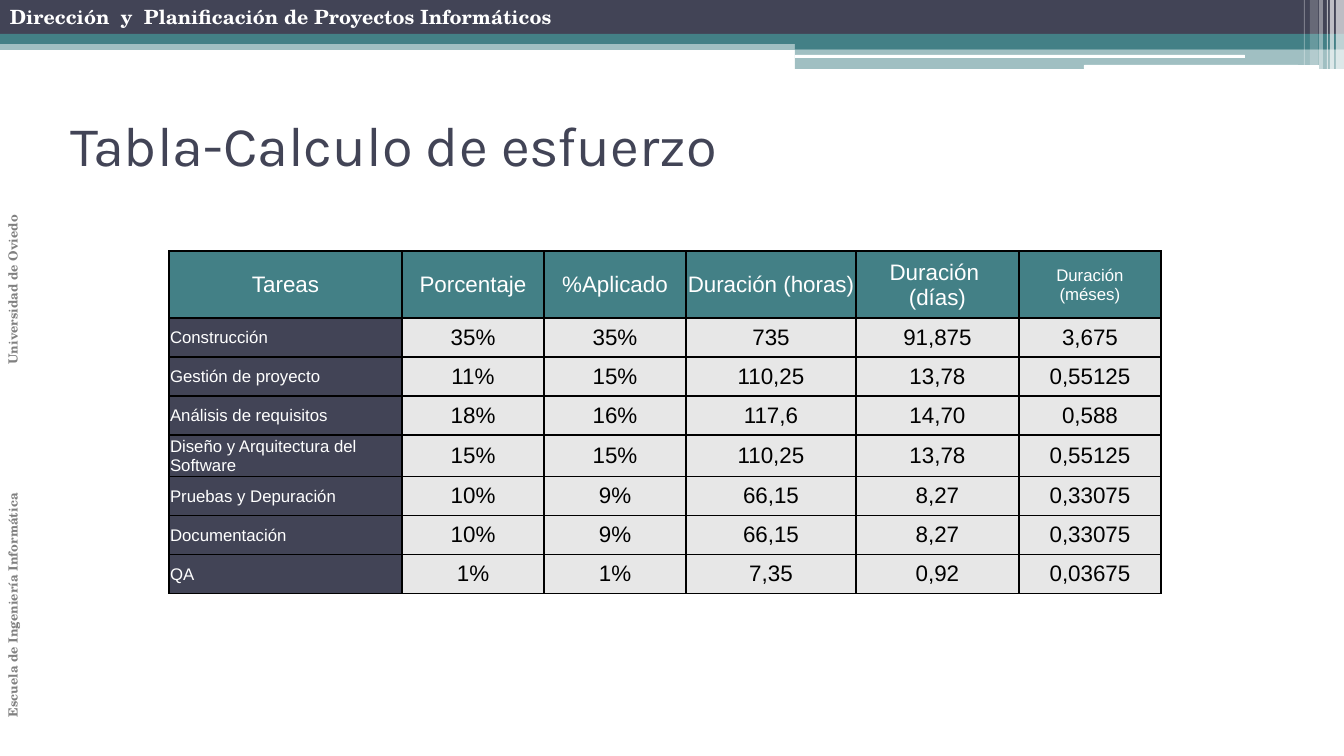
from dataclasses import dataclass

from lxml.etree import SubElement
from pptx import Presentation
from pptx.dml.color import RGBColor
from pptx.enum.shapes import MSO_SHAPE as SHAPE
from pptx.enum.text import MSO_ANCHOR as ANCHOR, MSO_AUTO_SIZE as AUTO, PP_ALIGN as ALIGN
from pptx.oxml.ns import qn
from pptx.util import Emu, Pt

PX = 914400 / 100.8


def px(n):
    return Emu(round(n * PX))


@dataclass(frozen=True)
class Theme:
    navy: str = "424456"
    teal: str = "438086"
    white: str = "FFFFFF"
    black: str = "000000"
    grey: str = "808080"
    pale: str = "E7E7E7"
    title_font: str = "Karla"
    frame_font: str = "TeX Gyre Schola"
    table_font: str = "Arial"
    title_size: int = 40
    course_size: int = 14
    school_size: int = 9
    cell_size: int = 16
    small_size: int = 12


def write(tf, text, *, font, size, color, bold=False, align=ALIGN.LEFT):
    """Fill a text frame, one paragraph per line of text."""
    for i, line in enumerate(text.split("\n")):
        p = tf.paragraphs[0] if i == 0 else tf.add_paragraph()
        p.alignment = align
        r = p.add_run()
        r.text = line
        r.font.name, r.font.size, r.font.bold = font, Pt(size), bold
        r.font.color.rgb = RGBColor.from_string(color)


class SlideBuilder:
    def __init__(self, slide, theme):
        self.slide, self.theme = slide, theme

    def block(self, x, y, w, h, color, opacity=100, rounded=False):
        kind = SHAPE.ROUNDED_RECTANGLE if rounded else SHAPE.RECTANGLE
        sp = self.slide.shapes.add_shape(kind, px(x), px(y), px(w), px(h))
        sp.shadow.inherit = False
        sp.line.fill.background()
        sp.fill.solid()
        sp.fill.fore_color.rgb = RGBColor.from_string(color)
        if opacity < 100:
            clr = sp.fill._xPr.find(qn("a:solidFill"))[0]
            SubElement(clr, qn("a:alpha")).set("val", str(opacity * 1000))

    def label(self, x, y, w, h, text, vert=None, **fmt):
        tf = self.slide.shapes.add_textbox(px(x), px(y), px(w), px(h)).text_frame
        tf.word_wrap = True
        if vert:
            tf._txBody.bodyPr.set("vert", vert)
        write(tf, text, font=self.theme.frame_font, bold=True, **fmt)

    def title(self, x, y, w, h, text):
        t = self.theme
        sp = self.slide.shapes.title
        sp.left, sp.top, sp.width, sp.height = px(x), px(y), px(w), px(h)
        tf = sp.text_frame
        tf.word_wrap, tf.auto_size, tf.vertical_anchor = True, AUTO.NONE, ANCHOR.MIDDLE
        write(tf, text, font=t.title_font, size=t.title_size, color=t.navy)

    def cell(self, cell, text, fill, **fmt):
        cell.fill.solid()
        cell.fill.fore_color.rgb = RGBColor.from_string(fill)
        cell.vertical_anchor = ANCHOR.MIDDLE
        cell.margin_left = cell.margin_right = cell.margin_top = px(1)
        cell.margin_bottom = 0
        write(cell.text_frame, text, font=self.theme.table_font, **fmt)
        # Borders come before the fill in the cell properties
        tcPr = cell._tc.get_or_add_tcPr()
        for i, side in enumerate(("lnL", "lnR", "lnT", "lnB")):
            ln = SubElement(tcPr, qn(f"a:{side}"), w=str(Pt(1)))
            line_fill = SubElement(ln, qn("a:solidFill"))
            SubElement(line_fill, qn("a:srgbClr"), val=self.theme.black)
            tcPr.insert(i, ln)

    def table(self, x, y, widths, heights, rows):
        t = self.theme
        table = self.slide.shapes.add_table(
            len(rows), len(widths), px(x), px(y), px(sum(widths)), px(sum(heights))).table
        table.horz_banding = False
        for col, w in zip(table.columns, widths):
            col.width = px(w)
        for row, h in zip(table.rows, heights):
            row.height = px(h)
        last = len(widths) - 1
        for i, row in enumerate(rows):
            for j, text in enumerate(row):
                if i == 0:
                    size = t.small_size if j == last else t.cell_size
                    fmt = dict(fill=t.teal, color=t.white, size=size, align=ALIGN.CENTER)
                elif j == 0:
                    fmt = dict(fill=t.navy, color=t.white, size=t.small_size)
                else:
                    fmt = dict(fill=t.pale, color=t.black, size=t.cell_size, align=ALIGN.CENTER)
                self.cell(table.cell(i, j), text, **fmt)


EFFORT = [
    ["Tareas", "Porcentaje", "%Aplicado", "Duración (horas)", "Duración \n(días)", "Duración\n(méses)"],
    ["Construcción", "35%", "35%", "735", "91,875", "3,675"],
    ["Gestión de proyecto", "11%", "15%", "110,25", "13,78", "0,55125"],
    ["Análisis de requisitos", "18%", "16%", "117,6", "14,70", "0,588"],
    ["Diseño y Arquitectura del Software", "15%", "15%", "110,25", "13,78", "0,55125"],
    ["Pruebas y Depuración", "10%", "9%", "66,15", "8,27", "0,33075"],
    ["Documentación", "10%", "9%", "66,15", "8,27", "0,33075"],
    ["QA", "1%", "1%", "7,35", "0,92", "0,03675"],
]


def main():
    theme = Theme()
    prs = Presentation()
    prs.slide_width, prs.slide_height = px(1344), px(756)
    b = SlideBuilder(prs.slides.add_slide(prs.slide_layouts[5]), theme)

    # Header bands
    b.block(0, 40, 1344, 10, theme.teal, opacity=50)
    b.block(0, 0, 1344, 34, theme.navy)
    b.block(0, 34, 1344, 10, theme.teal)
    b.block(795, 39, 549, 10, theme.teal)
    b.block(795, 49, 549, 20, theme.teal, opacity=50)
    b.block(795, 55, 450, 3, theme.white, rounded=True)
    b.block(1084, 65, 235, 4, theme.white, rounded=True)

    # Translucent stripes in the top right corner
    for x, w, h, opacity in [(1336, 8, 69, 65), (1330, 4, 69, 65), (1327, 1, 69, 60),
                             (1319, 4, 69, 40), (1310, 8, 65, 20), (1304, 1, 65, 30)]:
        b.block(x, 0, w, h, theme.white, opacity)

    # Course and school
    b.label(0, 0, 831, 34, "Dirección  y  Planificación de Proyectos Informáticos",
            size=theme.course_size, color=theme.white)
    b.label(0, 54, 35, 673, "Escuela de Ingeniería Informática\t\t\tUniversidad de Oviedo",
            vert="vert270", size=theme.school_size, color=theme.grey)

    # Title and effort table
    b.title(60, 85, 1210, 118, "Tabla-Calculo de esfuerzo")
    b.table(169, 251, [233, 142, 142, 170, 163, 142], [67] + [39] * 7, EFFORT)

    prs.save("out.pptx")


if __name__ == "__main__":
    main()
